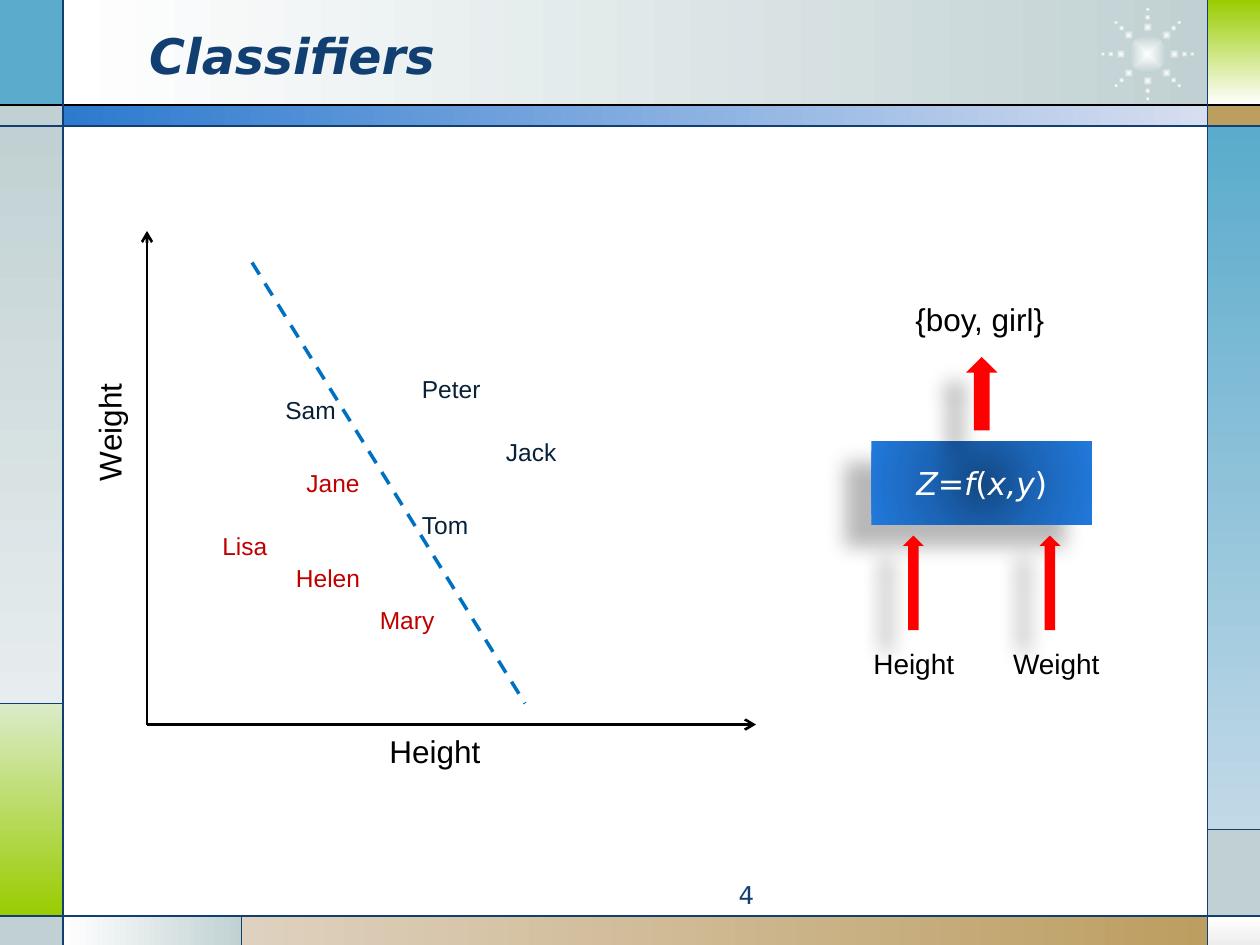
from dataclasses import dataclass
from math import cos, pi, sin

from lxml.etree import SubElement
from pptx import Presentation
from pptx.dml.color import RGBColor
from pptx.enum.dml import MSO_LINE
from pptx.enum.shapes import MSO_CONNECTOR, MSO_SHAPE
from pptx.enum.text import MSO_ANCHOR, MSO_AUTO_SIZE, PP_ALIGN
from pptx.oxml import parse_xml
from pptx.oxml.ns import nsdecls, qn
from pptx.util import Inches, Pt

COLUMNS, ROWS = 120, 90
CELL = Inches(10) / COLUMNS


@dataclass(frozen=True)
class Theme:
    """Colours, fonts and type sizes of the slide."""
    navy: str = "113F71"
    ink: str = "082038"
    black: str = "000000"
    white: str = "FFFFFF"
    crimson: str = "C00000"
    red: str = "FF0000"
    boundary: str = "0070C0"
    mist: str = "C1D1D3"
    sky: str = "5AABCC"
    lime: str = "99CC00"
    sand: str = "BD9E61"
    heading_font: str = "DejaVu Sans"
    label_font: str = "Arial"
    title: int = 28
    label: int = 18
    input: int = 16
    name: int = 14


THEME = Theme()


def cells(*counts):
    """Turn grid counts into lengths."""
    return [round(count * CELL) for count in counts]


def paint(shape, colours, angle=0, path=None):
    """Fill a shape with one colour or with evenly spaced gradient stops."""
    if len(colours) == 1:
        shape.fill.solid()
        shape.fill.fore_color.rgb = RGBColor.from_string(colours[0])
        return
    stops = "".join(
        f'<a:gs pos="{100000 * i // (len(colours) - 1)}"><a:srgbClr val="{colour}"/></a:gs>'
        for i, colour in enumerate(colours))
    course = f'<a:lin ang="{angle * 60000}" scaled="0"/>'
    if path:
        course = (f'<a:path path="{path}"><a:fillToRect l="50000" t="50000" '
                  'r="50000" b="50000"/></a:path>')
    shape.fill.gradient()
    properties = shape._element.spPr
    gradient = parse_xml(f'<a:gradFill {nsdecls("a")} rotWithShape="1">'
                         f'<a:gsLst>{stops}</a:gsLst>{course}</a:gradFill>')
    properties.replace(properties.find(qn("a:gradFill")), gradient)


def add_block(shapes, kind, box, colours, angle=0, path=None):
    """Add an unlined preset shape on the grid."""
    block = shapes.add_shape(kind, *cells(*box))
    block.shadow.inherit = False
    block.line.fill.background()
    paint(block, colours, angle, path)
    return block


def cast_shadow(shape):
    """Give a shape a soft shadow to the lower left."""
    effects = shape._element.spPr.find(qn("a:effectLst"))
    effects.append(parse_xml(
        f'<a:outerShdw {nsdecls("a")} blurRad="{Pt(11.8)}" dist="{Pt(19.7)}" '
        f'dir="{141 * 60000}" algn="ctr" rotWithShape="0"><a:srgbClr val="{THEME.black}">'
        '<a:alpha val="28000"/></a:srgbClr></a:outerShdw>'))


def add_line(shapes, start, end, colour, width, arrow=False, dash=None):
    """Add a straight line between two grid points."""
    connector = shapes.add_connector(MSO_CONNECTOR.STRAIGHT, *cells(*start, *end))
    connector.line.width = Pt(width)
    connector.line.color.rgb = RGBColor.from_string(colour)
    if dash:
        connector.line.dash_style = dash
    properties = connector._element.spPr
    if arrow:
        SubElement(properties.find(qn("a:ln")), qn("a:tailEnd"), type="arrow")
    SubElement(properties, qn("a:effectLst"))


def add_run(paragraph, text, size, colour, font, bold=False, italic=False):
    """Add one formatted run."""
    run = paragraph.add_run()
    run.text = text
    run.font.size = Pt(size)
    run.font.name = font
    run.font.bold = bold
    run.font.italic = italic
    run.font.color.rgb = RGBColor.from_string(colour)


def add_label(shapes, box, text, size, colour=THEME.black, upright=False):
    """Add a text box that hugs a single line."""
    frame = shapes.add_textbox(*cells(*box)).text_frame
    frame.word_wrap = False
    frame.auto_size = MSO_AUTO_SIZE.SHAPE_TO_FIT_TEXT
    if upright:
        frame._txBody.bodyPr.set("vert", "vert270")
    add_run(frame.paragraphs[0], text, size, colour, THEME.label_font)


def add_star(shapes, centre_x, centre_y):
    """Draw a glowing core with eight rays of shrinking dots."""
    star = shapes.add_group_shape().shapes
    dots = [(0, 0, 3.6)]
    for ray in range(8):
        angle = ray * pi / 4
        for reach, size in ((2.55, 0.9), (3.5, 0.58), (4.25, 0.42)):
            dots.append((reach * cos(angle), reach * sin(angle), size))
    for x, y, size in dots:
        box = (centre_x + x - size / 2, centre_y + y - size / 2, size, size)
        add_block(star, MSO_SHAPE.OVAL, box, (THEME.white, THEME.mist), path="shape")


def add_frame(shapes, width, height):
    """Draw the coloured border, its rules and the star."""
    left, right, head, band, foot = 6, width - 5, 10, 12, height - 2.75
    left_split, right_split, foot_split = 67, 79, 23
    t = THEME
    for x, y, x_end, y_end, colours, angle in (
            (left, 0, right, head, (t.white, t.mist), 0),
            (0, 0, left, head, (t.sky,), 0),
            (0, head, left, band, (t.mist,), 0),
            (0, band, left, left_split, (t.mist, "E7EDEE"), 90),
            (0, left_split, left, foot, ("DBEBC9", t.lime), 90),
            (0, foot, left, height, (t.mist,), 0),
            (left, foot, foot_split, height, (t.white, t.mist), 0),
            (foot_split, foot, right, height, ("DED1BF", t.sand), 0),
            (right, foot, width, height, (t.white, "EDEDED"), 90),
            (right, right_split, width, foot, (t.mist,), 0),
            (right, band, width, right_split, (t.sky, "C2D9E7"), 90),
            (right, head, width, band, (t.sand,), 0),
            (right, 0, width, head, (t.lime, t.white), 90),
            (left, head, right, band, ("2D7ACF", "D7DEF0"), 0)):
        add_block(shapes, MSO_SHAPE.RECTANGLE, (x, y, x_end - x, y_end - y), colours, angle)
    add_star(shapes, right - 5.7, head / 2 + 0.15)
    add_line(shapes, (0, head), (width, head), t.black, 0.75)
    for start, end in (((0, band), (width, band)), ((0, foot), (width, foot)),
                       ((left, 0), (left, height)), ((right, 0), (right, height)),
                       ((left, left_split), (0, left_split)),
                       ((foot_split, foot), (foot_split, height)),
                       ((right, right_split), (width, right_split))):
        add_line(shapes, start, end, t.navy, 0.75)


def move_to_layout(slide):
    """Keep the title on the slide and put everything else on its layout."""
    layout = slide.slide_layout
    for placeholder in list(layout.placeholders):
        if placeholder.placeholder_format.idx:
            layout.shapes._spTree.remove(placeholder._element)
    for part in list(slide.shapes):
        if not part.is_placeholder:
            layout.shapes._spTree.append(part._element)


def set_title(title, box):
    """Place and format the slide title."""
    title.left, title.top, title.width, title.height = cells(*box)
    title.text_frame.vertical_anchor = MSO_ANCHOR.MIDDLE
    heading = title.text_frame.paragraphs[0]
    heading.alignment = PP_ALIGN.LEFT
    add_run(heading, "Classifiers", THEME.title, THEME.navy, THEME.heading_font, True, True)


def add_page_number(shapes, box):
    """Add the page number."""
    frame = shapes.add_textbox(*cells(*box)).text_frame
    frame.word_wrap = True
    frame.paragraphs[0].alignment = PP_ALIGN.RIGHT
    add_run(frame.paragraphs[0], "4", THEME.name, THEME.navy, THEME.heading_font)


def add_plot(shapes, x, y, width, height):
    """Draw the height and weight axes, the names and the dividing line."""
    origin = (x, y + height)
    for tip in ((x + width, y + height), (x, y)):
        add_line(shapes, origin, tip, THEME.black, 1.5, arrow=True)
    add_label(shapes, (x + 21.9, y + height + 0.1, 11.2, 4.8), "Height", THEME.label)
    add_label(shapes, (x - 6, y + 14.4, 6, 10.6), "Weight", THEME.label, upright=True)
    girls = (("Mary", 21, 35, 7.7), ("Lisa", 6, 28, 6.7),
             ("Jane", 14, 22, 7.6), ("Helen", 13, 31, 8.5))
    boys = (("Jack", 33, 19, 7.3), ("Peter", 25, 13, 8),
            ("Tom", 25, 26, 6.8), ("Sam", 12, 15, 7.3))
    for people, colour in ((girls, THEME.crimson), (boys, THEME.ink)):
        for name, across, down, span in people:
            add_label(shapes, (x + across, y + down, span, 4.1), name, THEME.name, colour)
    add_line(shapes, (x + 10, y + 3), (x + 36, y + height - 2), THEME.boundary, 2,
             dash=MSO_LINE.DASH)


def add_classifier(shapes, x, y):
    """Draw the function box with its two inputs and its output."""
    function = add_block(shapes, MSO_SHAPE.RECTANGLE, (x + 1, y + 14, 21, 8),
                         ("134882", "1C66B9", "2179DB"), path="circle")
    cast_shadow(function)
    function.text_frame.vertical_anchor = MSO_ANCHOR.MIDDLE
    formula = function.text_frame.paragraphs[0]
    formula.alignment = PP_ALIGN.CENTER
    for text, italic in (("Z=f", True), ("(", False), ("x,y", True), (")", False)):
        add_run(formula, text, THEME.label, THEME.white, THEME.heading_font, italic=italic)
    for across, down, width, height in ((10, 6, 3, 7), (4, 23, 2, 9), (17, 23, 2, 9)):
        cast_shadow(add_block(shapes, MSO_SHAPE.UP_ARROW,
                              (x + across, y + down, width, height), (THEME.red,)))
    add_label(shapes, (x + 4, y, 14.9, 4.8), "{boy, girl}", THEME.label)
    for text, across, width in (("Height", 0, 10.2), ("Weight", 13.3, 10.8)):
        add_label(shapes, (x + across, y + 33, width, 4.4), text, THEME.input)


def main():
    """Build and save the slide."""
    deck = Presentation()
    deck.slide_width, deck.slide_height = cells(COLUMNS, ROWS)
    slide = deck.slides.add_slide(deck.slide_layouts[5])
    add_frame(slide.shapes, COLUMNS, ROWS)
    move_to_layout(slide)
    set_title(slide.shapes.title, (13, 1.5, 88, 7.5))
    add_page_number(slide.shapes, (45, 83.2, 28, 3.2))
    add_plot(slide.shapes, 14, 22, 58, 47)
    add_classifier(slide.shapes, 82, 28)
    deck.save("out.pptx")


if __name__ == "__main__":
    main()
